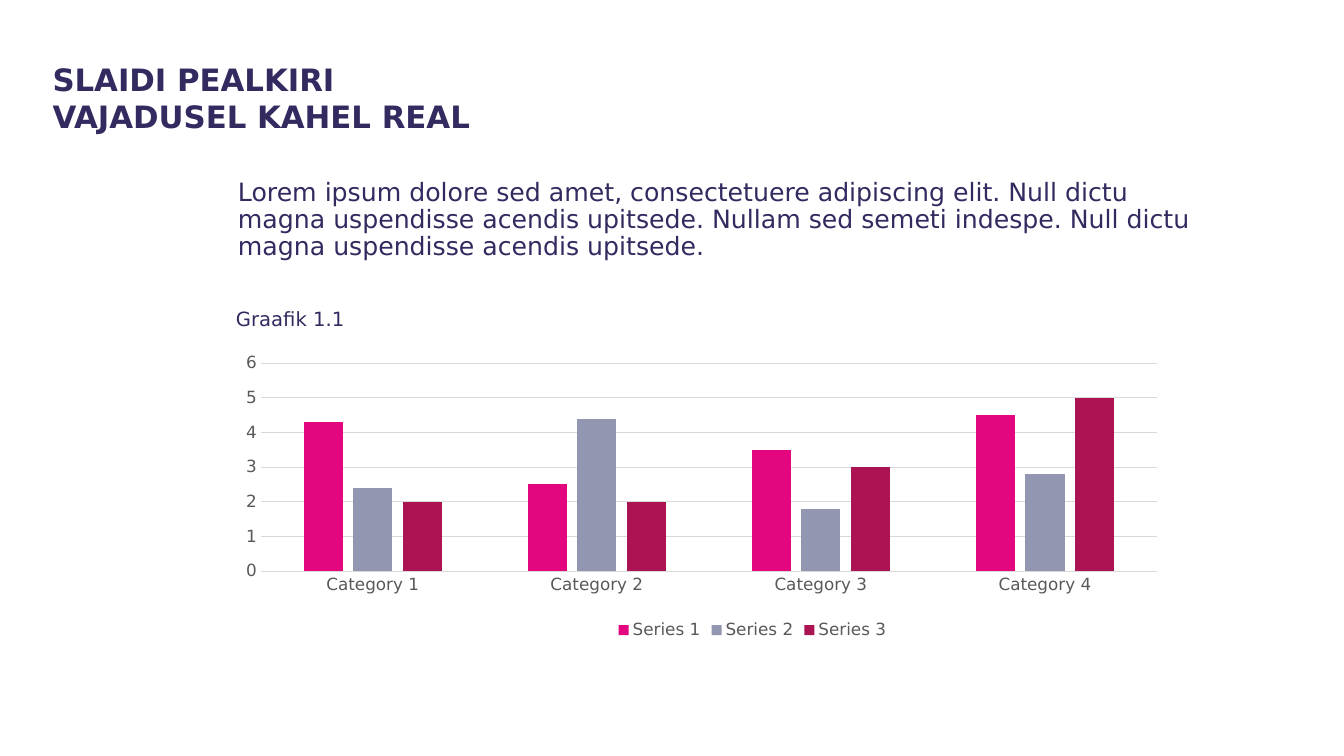
import pptx
import pptx.chart.data
import pptx.dml.color
import pptx.enum.chart
import pptx.enum.text
import pptx.oxml
import pptx.oxml.ns
import pptx.util

Pt = pptx.util.Pt
FONT = "DejaVu Sans"
NAVY = "332B60"
GREY = "595959"
RULE = "D9D9D9"
CATEGORIES = ["Category 1", "Category 2", "Category 3", "Category 4"]
SERIES = [
    ("Series 1", (4.3, 2.5, 3.5, 4.5), "E4067E"),
    ("Series 2", (2.4, 4.4, 1.8, 2.8), "9396B0"),
    ("Series 3", (2, 2, 3, 5), "AB1352"),
]
PLOT_AREA = {"x": 0.026, "y": 0.049, "w": 0.864, "h": 0.704}
TITLE = "SLAIDI PEALKIRI\vVAJADUSEL KAHEL REAL"
INTRO = (
    "Lorem ipsum dolore sed amet, consectetuere adipiscing elit. Null dictu "
    "magna uspendisse acendis upitsede. Nullam sed semeti indespe. Null dictu "
    "magna uspendisse acendis upitsede."
)


def colour(value):
    return pptx.dml.color.RGBColor.from_string(value)


def style_font(font, size, value, bold=False):
    font.name = FONT
    font.size = Pt(size)
    font.bold = bold
    font.color.rgb = colour(value)


def add_text(page, box, text, size, bold=False, line_spacing=1.0, space_before=0):
    frame = page.shapes.add_textbox(*map(Pt, box)).text_frame
    frame.word_wrap = True
    frame.vertical_anchor = pptx.enum.text.MSO_ANCHOR.TOP
    frame.margin_left = frame.margin_right = 0
    frame.margin_top = frame.margin_bottom = 0
    para = frame.paragraphs[0]
    para.text = text
    para.line_spacing = line_spacing
    para.space_before = Pt(space_before)
    for span in para.runs:
        style_font(span.font, size, NAVY, bold)


def style_line(line):
    line.color.rgb = colour(RULE)
    line.width = Pt(0.75)


def style_axes(chart):
    for axis in (chart.category_axis, chart.value_axis):
        style_font(axis.tick_labels.font, 12, GREY)
        axis.major_tick_mark = pptx.enum.chart.XL_TICK_MARK.NONE
        axis.minor_tick_mark = pptx.enum.chart.XL_TICK_MARK.NONE
    style_line(chart.category_axis.format.line)
    values = chart.value_axis
    values.minimum_scale, values.maximum_scale, values.major_unit = 0, 6, 1
    values.has_major_gridlines = True
    style_line(values.major_gridlines.format.line)
    values.format.line.fill.background()


def place_plot_area(chart):
    """Fix the inner plot area as fractions of the chart frame."""
    tags = [("layoutTarget", "inner"), ("xMode", "edge"), ("yMode", "edge")]
    tags += PLOT_AREA.items()
    settings = "".join(f'<c:{tag} val="{value}"/>' for tag, value in tags)
    layout = pptx.oxml.parse_xml(
        f'<c:layout {pptx.oxml.ns.nsdecls("c")}>'
        f"<c:manualLayout>{settings}</c:manualLayout></c:layout>"
    )
    plot_area = chart.plots[0]._element.getparent()
    for old in plot_area.findall(pptx.oxml.ns.qn("c:layout")):
        plot_area.remove(old)
    plot_area.insert(0, layout)


def add_column_chart(page, box):
    data = pptx.chart.data.CategoryChartData()
    data.categories = CATEGORIES
    for name, values, _ in SERIES:
        data.add_series(name, values)
    kind = pptx.enum.chart.XL_CHART_TYPE.COLUMN_CLUSTERED
    chart = page.shapes.add_chart(kind, *map(Pt, box), data).chart
    style_font(chart.font, 10, "000000")
    chart.has_title = False
    chart.has_legend = True
    chart.legend.position = pptx.enum.chart.XL_LEGEND_POSITION.BOTTOM
    chart.legend.include_in_layout = False
    style_font(chart.legend.font, 12, GREY)
    plot = chart.plots[0]
    plot.vary_by_categories = False
    plot.gap_width = 219
    plot.overlap = -27
    for series, (_, _, fill) in zip(plot.series, SERIES):
        series.format.fill.solid()
        series.format.fill.fore_color.rgb = colour(fill)
        series.invert_if_negative = False
    style_axes(chart)
    place_plot_area(chart)


def add_chart_section(page, box):
    """Place the chart caption and, below it, the chart."""
    left, top, width, height = box
    add_text(page, (left + 1.5, top, 695, 24.5), "Graafik 1.1", 14, space_before=5)
    add_column_chart(page, (left, top + 30.2, width, height - 30.2))


def main():
    deck = pptx.Presentation()
    deck.slide_width, deck.slide_height = Pt(960), Pt(540)
    page = deck.slides.add_slide(deck.slide_layouts[6])
    add_text(page, (37.5, 43.2, 826.5, 63.4), TITLE, 22, bold=True)
    add_text(page, (170, 128.2, 693.4, 62.6), INTRO, 18, line_spacing=0.9, space_before=5)
    add_chart_section(page, (167, 218.9, 741, 241.2))
    deck.save("out.pptx")


if __name__ == "__main__":
    main()
